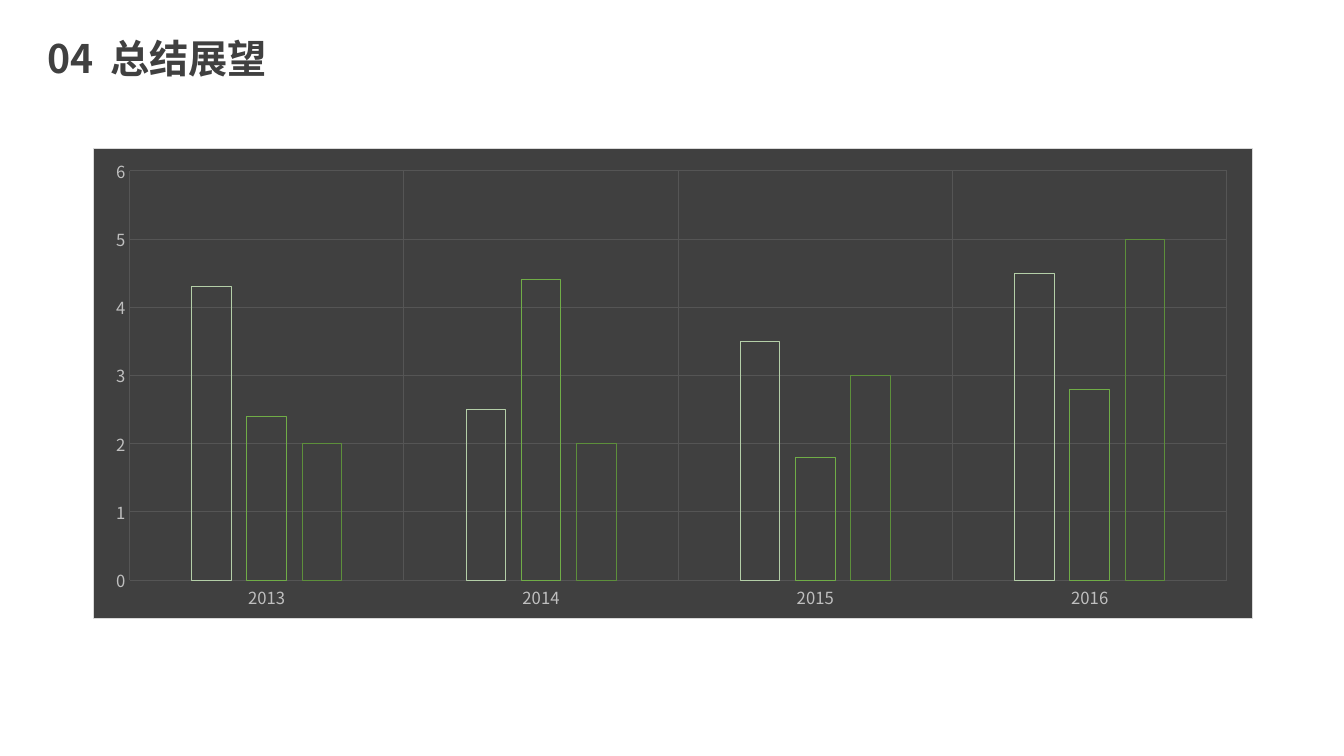
"""Build the summary and outlook slide with an outlined column chart."""
from dataclasses import dataclass

from lxml import etree
from pptx import Presentation
from pptx.chart.data import CategoryChartData
from pptx.dml.color import RGBColor
from pptx.enum.chart import XL_CHART_TYPE, XL_TICK_MARK
from pptx.enum.text import MSO_ANCHOR
from pptx.oxml import parse_xml
from pptx.oxml.ns import qn
from pptx.util import Pt

COLUMNS = XL_CHART_TYPE.COLUMN_CLUSTERED
NO_TICKS = XL_TICK_MARK.NONE
MIDDLE = MSO_ANCHOR.MIDDLE
NAMESPACES = (
    'xmlns:c="http://schemas.openxmlformats.org/drawingml/2006/chart" '
    'xmlns:a="http://schemas.openxmlformats.org/drawingml/2006/main"'
)


@dataclass(frozen=True)
class Theme:
    font: str = "Noto Sans CJK SC"
    dark: str = "404040"
    grid: str = "555555"
    label: str = "BFBFBF"
    border: str = "D9D9D9"
    outlines: tuple = ("B4CFA8", "70AD47", "5D8F3B")
    title_size: float = 28
    label_size: float = 11.9
    line_width: float = 0.75


theme = Theme()


def add_run(text, paragraph, size, color, bold=False, spacing=0):
    run = paragraph.add_run()
    run.text = text
    run.font.name = theme.font
    run.font.size = Pt(size)
    run.font.bold = bold
    run.font.color.rgb = RGBColor.from_string(color)
    properties = run.font._element
    properties.set("spc", str(spacing))
    etree.SubElement(properties, qn("a:ea"), typeface=theme.font)


def style_line(line, color):
    line.color.rgb = RGBColor.from_string(color)
    line.width = Pt(theme.line_width)


presentation = Presentation()
presentation.slide_width = Pt(960)
presentation.slide_height = Pt(540)
slide = presentation.slides.add_slide(presentation.slide_layouts[6])

title = slide.shapes.add_textbox(Pt(26.5), Pt(22.5), Pt(225.5), Pt(41.5))
title.text_frame.word_wrap = True
title.text_frame.vertical_anchor = MIDDLE
paragraph = title.text_frame.paragraphs[0]
paragraph.line_spacing = 0.9
for text, spacing in (("04", 0), (" ", 600), ("总结展望", 0)):
    add_run(text, paragraph, size=theme.title_size, color=theme.dark,
            bold=True, spacing=spacing)

chart_data = CategoryChartData()
chart_data.categories = ["2013", "2014", "2015", "2016"]
chart_data.add_series("Series 1", (4.3, 2.5, 3.5, 4.5))
chart_data.add_series("Series 2", (2.4, 4.4, 1.8, 2.8))
chart_data.add_series("Series 3", (2, 2, 3, 5))
chart = slide.shapes.add_chart(
    COLUMNS, Pt(66.5), Pt(106), Pt(828.5), Pt(336), chart_data
).chart
chart.has_legend = False
chart.has_title = False
chart.font.name = theme.font
chart.font.size = Pt(theme.label_size)
chart.font.color.rgb = RGBColor.from_string(theme.label)

plot = chart.plots[0]
plot.vary_by_categories = False
plot.gap_width = 315
plot.overlap = -40
for series, color in zip(plot.series, theme.outlines):
    series.format.fill.background()
    style_line(series.format.line, color)

for axis in (chart.category_axis, chart.value_axis):
    axis.major_tick_mark = NO_TICKS
    axis.minor_tick_mark = NO_TICKS
    axis.has_major_gridlines = True
    style_line(axis.major_gridlines.format.line, theme.grid)
    axis.format.line.fill.background()
chart.value_axis.minimum_scale = 0
chart.value_axis.maximum_scale = 6
chart.value_axis.major_unit = 1
chart.value_axis.tick_labels.number_format = "0"
chart.value_axis.tick_labels.number_format_is_linked = False

chart_space = chart._chartSpace
chart_space.find(qn("c:chart")).addnext(parse_xml(
    f'<c:spPr {NAMESPACES}>'
    f'<a:solidFill><a:srgbClr val="{theme.dark}"/></a:solidFill>'
    f'<a:ln w="{Pt(theme.line_width)}"><a:solidFill>'
    f'<a:srgbClr val="{theme.border}"/></a:solidFill></a:ln></c:spPr>'
))

plot_area = chart_space.find(".//" + qn("c:plotArea"))
for layout in plot_area.findall(qn("c:layout")):
    plot_area.remove(layout)
placement = "".join(
    f'<c:{name} val="{value}"/>'
    for name, value in (
        ("layoutTarget", "inner"), ("xMode", "edge"), ("yMode", "edge"),
        ("x", 0.031), ("y", 0.047), ("w", 0.947), ("h", 0.872),
    )
)
plot_area.insert(0, parse_xml(
    f'<c:layout {NAMESPACES}><c:manualLayout>{placement}</c:manualLayout></c:layout>'
))

presentation.save("out.pptx")
